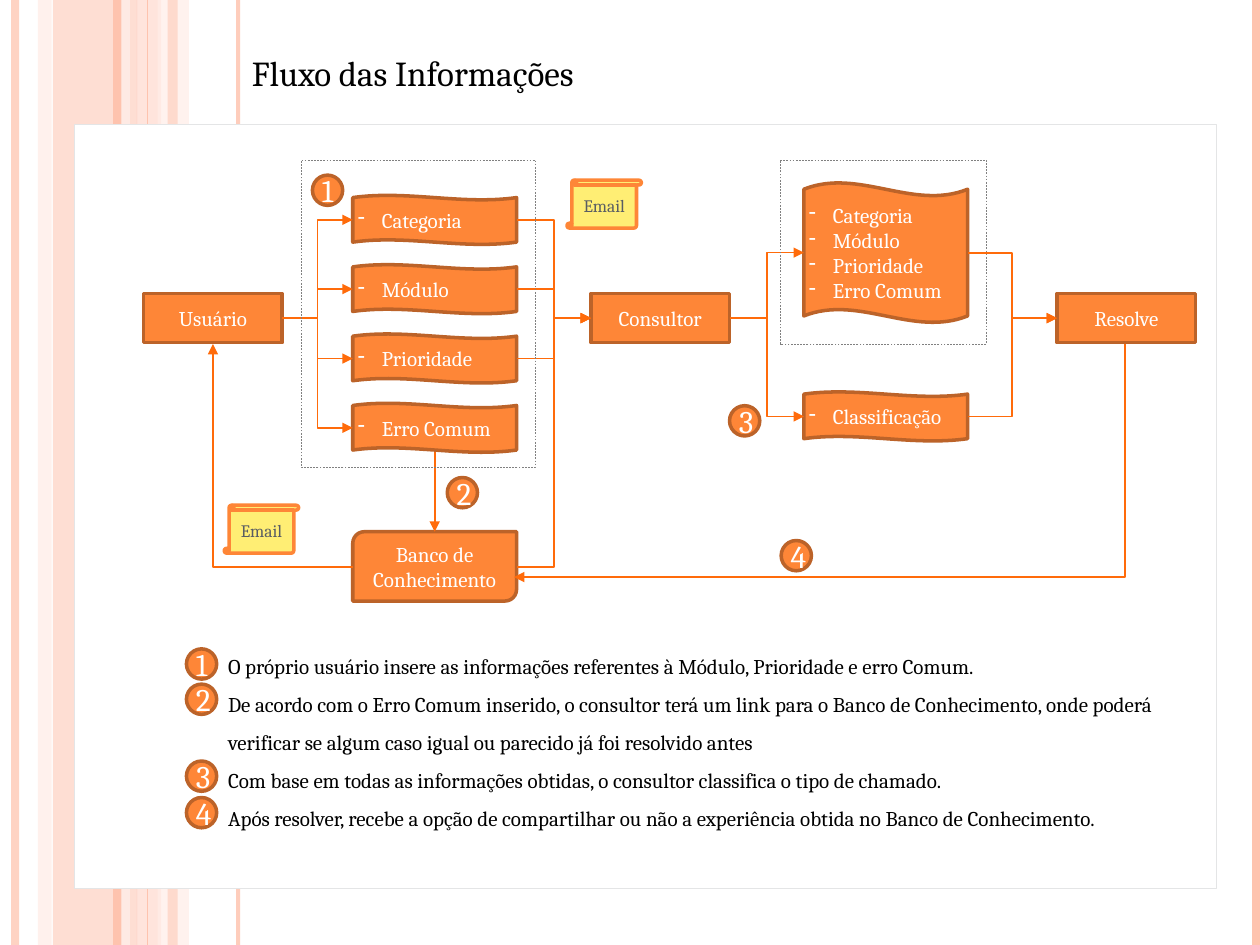
from pptx import Presentation
from pptx.dml.color import RGBColor
from pptx.enum.dml import MSO_LINE
from pptx.enum.shapes import MSO_CONNECTOR as Route, MSO_SHAPE as Preset
from pptx.enum.text import MSO_ANCHOR as Anchor, MSO_AUTO_SIZE as AutoSize, PP_ALIGN as Align
from pptx.oxml.ns import qn
from pptx.util import Inches, Pt
from lxml.etree import SubElement

FONT = "Cambria"
WHITE = RGBColor(0xFF, 0xFF, 0xFF)
BLACK = RGBColor(0, 0, 0)
GRAY = RGBColor(0x80, 0x80, 0x80)
SLATE = RGBColor(0x59, 0x5D, 0x63)
PANEL_EDGE = RGBColor(0xE4, 0xE5, 0xE6)
ORANGE = RGBColor(0xFE, 0x86, 0x37)
BROWN = RGBColor(0xBC, 0x63, 0x29)
ARROW = RGBColor(0xFF, 0x6B, 0x0A)
YELLOW = RGBColor(0xFF, 0xEE, 0x74)
PEACH = RGBColor(0xFE, 0xC3, 0xAE)
LIGHT_PEACH = RGBColor(0xFF, 0xD9, 0xCE)
PALE_PEACH = RGBColor(0xFF, 0xED, 0xE8)

TOP, LEFT, BOTTOM, RIGHT = range(4)
BAND_HEIGHT = 7.5
STEP_HEIGHT = 0.39
FIELDS = ["Categoria", "Módulo", "Prioridade", "Erro Comum"]
BANDS = [
    (0.42, 0.67, PEACH, 54),
    (0.3, 0.11, LIGHT_PEACH, 36),
    (1.08, 0.2, LIGHT_PEACH, 70),
    (1.25, 0.25, PALE_PEACH, 71),
    (1.33, 0.08, PEACH, 51),
]
STRIPES = [
    (0.12, PEACH, 4.5, 73),
    (1, PALE_PEACH, 4.5, 83),
    (0.93, PEACH, 4.5, 100),
    (1.89, PEACH, 2.25, 82),
    (1.17, PEACH, 0.75, 100),
    (9.97, PEACH, 4.5, 100),
]
BADGES = [
    (1, 2.48, 1.39), (2, 3.55, 3.79), (3, 5.79, 3.22), (4, 6.2, 4.29),
    (1, 1.48, 5.15), (2, 1.48, 5.43), (3, 1.48, 6.04), (4, 1.48, 6.33),
]
NOTES = [
    "O próprio usuário insere as informações referentes à Módulo, Prioridade e erro Comum.",
    "De acordo com o Erro Comum inserido, o consultor terá um link para o Banco de "
    "Conhecimento, onde poderá verificar se algum caso igual ou parecido já foi resolvido antes",
    "Com base em todas as informações obtidas, o consultor classifica o tipo de chamado.",
    "Após resolver, recebe a opção de compartilhar ou não a experiência obtida no Banco de "
    "Conhecimento.",
]


def set_alpha(element, percent):
    color = next(element.iter(qn("a:srgbClr")))
    SubElement(color, qn("a:alpha"), val=str(percent * 1000))


def set_insets(frame, across, down):
    frame.margin_left = frame.margin_right = Inches(across)
    frame.margin_top = frame.margin_bottom = Inches(down)


def write(frame, lines, size, color, align=Align.LEFT, spacing=None):
    frame.text = "\n".join(lines)
    for paragraph in frame.paragraphs:
        paragraph.alignment = align
        paragraph.line_spacing = spacing
        for run in paragraph.runs:
            run.font.name = FONT
            run.font.size = Pt(size)
            run.font.color.rgb = color


def add_bullets(frame):
    for paragraph in frame.paragraphs:
        props = paragraph._p.get_or_add_pPr()
        props.set("marL", str(Inches(0.19)))
        props.set("indent", str(-Inches(0.19)))
        SubElement(props, qn("a:buChar"), char="-")


def add_block(slide, preset, left, top, width, height, fill=None, edge=None, weight=2):
    block = slide.shapes.add_shape(
        preset, Inches(left), Inches(top), Inches(width), Inches(height))
    block.shadow.inherit = False
    if fill is None:
        block.fill.background()
    else:
        block.fill.solid()
        block.fill.fore_color.rgb = fill
    if edge is None:
        block.line.fill.background()
    else:
        block.line.color.rgb = edge
        block.line.width = Pt(weight)
    return block


def add_label(block, lines, size=12, color=WHITE, align=Align.CENTER, insets=(0.04, 0.04)):
    frame = block.text_frame
    frame.word_wrap = True
    frame.vertical_anchor = Anchor.MIDDLE
    set_insets(frame, *insets)
    write(frame, lines, size, color, align)


def add_actor(slide, name, left):
    actor = add_block(slide, Preset.RECTANGLE, left, 2.33, 1.1, STEP_HEIGHT, ORANGE, BROWN)
    add_label(actor, [name])
    return actor


def add_wave(slide, items, left, top, height=STEP_HEIGHT):
    wave = add_block(slide, Preset.WAVE, left, top, 1.3, height, ORANGE, BROWN)
    wave.adjustments[0] = 0.047
    add_label(wave, items, align=Align.LEFT)
    add_bullets(wave.text_frame)
    return wave


def add_badge(slide, number, left, top):
    badge = add_block(slide, Preset.OVAL, left, top, 0.24, 0.24, ORANGE, BROWN)
    add_label(badge, [str(number)], size=18, insets=(0.04, 0))


def add_email(slide, left, top):
    scroll = add_block(slide, Preset.VERTICAL_SCROLL, left, top, 0.59, 0.38, YELLOW, ORANGE)
    scroll.adjustments[0] = 0.101
    add_label(scroll, ["Email"], size=10, color=SLATE, insets=(0, 0))


def add_group_frame(slide, left, width, height):
    group = add_block(slide, Preset.RECTANGLE, left, 1.27, width, height, None, GRAY, 0.25)
    group.line.dash_style = MSO_LINE.DASH


def add_line(slide, route, start, end, color, weight):
    line = slide.shapes.add_connector(route, *map(Inches, start + end))
    line.line.color.rgb = color
    line.line.width = Pt(weight)
    SubElement(line._element.spPr, qn("a:effectLst"))
    return line


def add_arrow(slide, route=Route.ELBOW, start=(0, 0), end=(0, 0), source=None, target=None):
    arrow = add_line(slide, route, start, end, ARROW, 1)
    SubElement(arrow._element.spPr.find(qn("a:ln")), qn("a:tailEnd"), type="triangle")
    if source:
        arrow.begin_connect(*source)
    if target:
        arrow.end_connect(*target)
    return arrow


def add_corner_arrow(slide, left, top, width, height, degrees):
    arrow = add_arrow(slide, start=(left, top), end=(left + width, top + height))
    props = arrow._element.spPr
    props.find(qn("a:prstGeom")).set("prst", "bentConnector2")
    props.find(qn("a:xfrm")).set("rot", str(degrees * 60000))


def add_backdrop(slide):
    for left, width, color, alpha in BANDS:
        band = add_block(slide, Preset.RECTANGLE, left, 0, width, BAND_HEIGHT, color)
        set_alpha(band._element.spPr, alpha)
    for x, color, weight, alpha in STRIPES:
        stripe = add_line(slide, Route.STRAIGHT, (x, 0), (x, BAND_HEIGHT), color, weight)
        set_alpha(stripe._element.spPr, alpha)
    add_block(slide, Preset.RECTANGLE, 0.59, 0.99, 9.06, 6.06, WHITE, PANEL_EDGE, 0.25)


def add_text(slide, left, top, width, height, lines, size, wrap, spacing=None):
    frame = slide.shapes.add_textbox(
        Inches(left), Inches(top), Inches(width), Inches(height)).text_frame
    frame.word_wrap = wrap
    frame.auto_size = AutoSize.SHAPE_TO_FIT_TEXT
    write(frame, lines, size, BLACK, spacing=spacing)
    return frame


def add_flow(slide):
    user = add_actor(slide, "Usuário", 1.14)
    consultant = add_actor(slide, "Consultor", 4.69)
    solver = add_actor(slide, "Resolve", 8.39)
    inputs = [add_wave(slide, [name], 2.8, 1.55 + 0.55 * row)
              for row, name in enumerate(FIELDS)]
    reviews = [add_wave(slide, FIELDS, 6.38, 1.45, 1.11),
               add_wave(slide, ["Classificação"], 6.38, 3.11)]
    knowledge = add_block(
        slide, Preset.ROUND_2_DIAG_RECTANGLE, 2.8, 4.22, 1.3, 0.55, ORANGE, BROWN)
    add_label(knowledge, ["Banco de Conhecimento"])

    links = [(user, field) for field in inputs]
    links += [(field, consultant) for field in inputs[:3]]
    links += [(consultant, review) for review in reviews]
    links += [(review, solver) for review in reviews]
    for source, target in links:
        add_arrow(slide, source=(source, RIGHT), target=(target, LEFT))
    add_arrow(slide, start=(4.1, 4.5), target=(consultant, LEFT))
    add_arrow(slide, Route.STRAIGHT, end=(3.45, 4.22), source=(inputs[-1], BOTTOM))
    add_corner_arrow(slide, 5.58, 1.23, 1.85, 4.85, 90)
    add_corner_arrow(slide, 1.69, 2.73, 1.11, 1.77, 180)


def main():
    deck = Presentation()
    deck.slide_width, deck.slide_height = Inches(10), Inches(7.5)
    slide = deck.slides.add_slide(deck.slide_layouts[6])
    add_backdrop(slide)
    add_text(slide, 1.9, 0.36, 3.12, 0.44, ["Fluxo das Informações"], 20, False)
    add_flow(slide)
    add_group_frame(slide, 2.39, 1.86, 2.44)
    add_group_frame(slide, 6.19, 1.64, 1.46)
    for number, left, top in BADGES:
        add_badge(slide, number, left, top)
    notes = add_text(slide, 1.77, 5.05, 7.94, 1.62, NOTES, 12, True, 1.5)
    set_insets(notes, 0.04, 0.04)
    add_email(slide, 4.5, 1.43)
    add_email(slide, 1.78, 4.01)
    deck.save("out.pptx")


if __name__ == "__main__":
    main()
